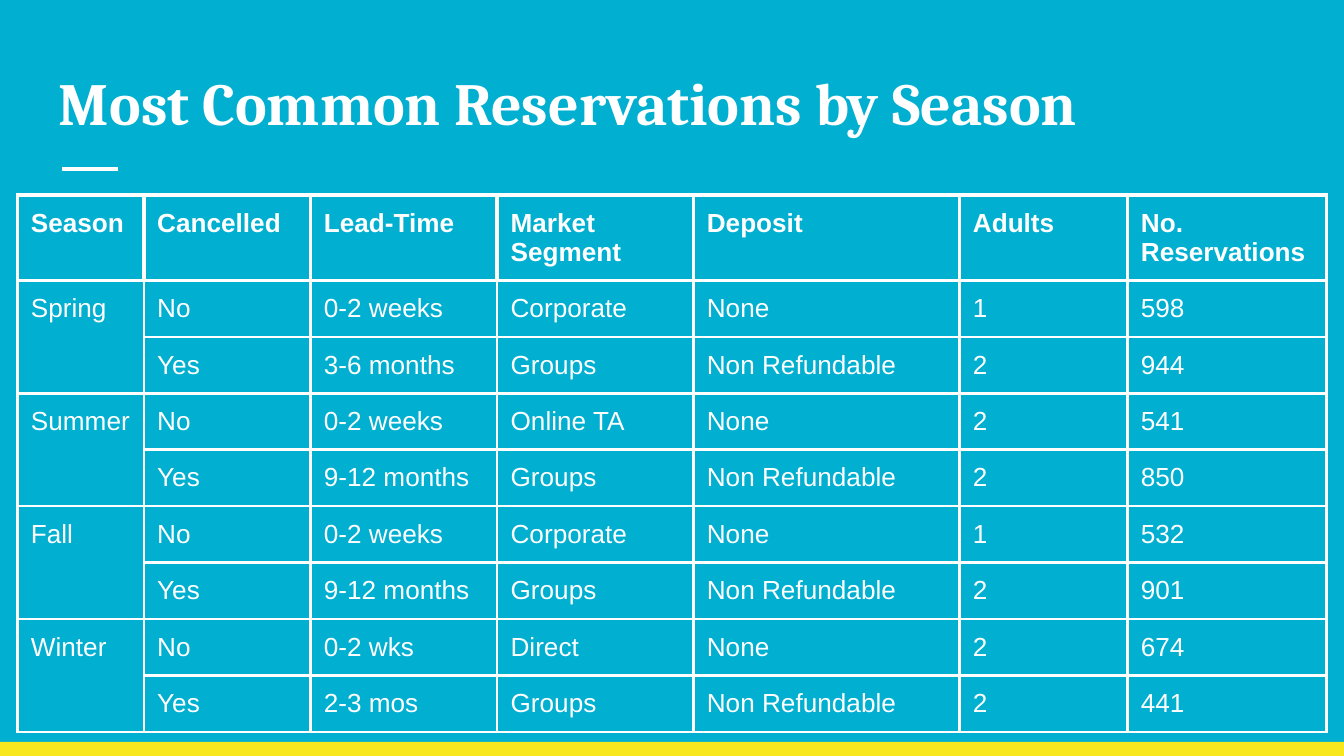
from lxml import etree
from pptx import Presentation
from pptx.dml.color import RGBColor
from pptx.enum.shapes import MSO_CONNECTOR, MSO_SHAPE
from pptx.enum.text import MSO_ANCHOR
from pptx.oxml.ns import qn
from pptx.util import Inches, Pt

STRAIGHT = MSO_CONNECTOR.STRAIGHT
RECTANGLE = MSO_SHAPE.RECTANGLE
BOTTOM = MSO_ANCHOR.BOTTOM

BLUE = RGBColor(0x01, 0xAF, 0xD1)
YELLOW = RGBColor(0xF8, 0xE7, 0x1C)
WHITE = RGBColor(0xFF, 0xFF, 0xFF)

TITLE = "Most Common Reservations by Season"
HEADERS = ["Season", "Cancelled", "Lead-Time", "Market Segment", "Deposit",
           "Adults", "No. Reservations"]
SEASONS = {
    "Spring": [("No", "0-2 weeks", "Corporate", "None", "1", "598"),
               ("Yes", "3-6 months", "Groups", "Non Refundable", "2", "944")],
    "Summer": [("No", "0-2 weeks", "Online TA", "None", "2", "541"),
               ("Yes", "9-12 months", "Groups", "Non Refundable", "2", "850")],
    "Fall": [("No", "0-2 weeks", "Corporate", "None", "1", "532"),
             ("Yes", "9-12 months", "Groups", "Non Refundable", "2", "901")],
    "Winter": [("No", "0-2 wks", "Direct", "None", "2", "674"),
               ("Yes", "2-3 mos", "Groups", "Non Refundable", "2", "441")],
}
COLUMN_WIDTHS = [0.94, 1.24, 1.39, 1.46, 1.98, 1.25, 1.48]
ROW_HEIGHT = 0.42
PADDING = Inches(0.1)
CELL_BOTTOM = Inches(0.07)
THIN, THICK = Pt(1.5), Pt(2.25)


def style_text(paragraph, name, size, bold):
    """Set the font and line spacing of a paragraph."""
    paragraph.line_spacing = 1.0
    font = paragraph.font
    font.name, font.size, font.bold = name, Pt(size), bold
    font.color.rgb = WHITE


def set_padding(target, bottom=PADDING):
    """Set the margins of a cell or text frame."""
    target.margin_left = target.margin_right = target.margin_top = PADDING
    target.margin_bottom = bottom


def set_borders(cell, row):
    """Draw white borders, thicker around the header row."""
    properties = cell._tc.get_or_add_tcPr()
    for position, side in enumerate("LRTB"):
        thick = row == 0 or (row == 1 and side == "T")
        line = etree.Element(qn(f"a:ln{side}"), w=str(THICK if thick else THIN))
        fill = etree.SubElement(line, qn("a:solidFill"))
        etree.SubElement(fill, qn("a:srgbClr"), val=str(WHITE))
        properties.insert(position, line)


def add_title(slide):
    """Add the slide title."""
    box = slide.shapes.add_textbox(Inches(0.34), Inches(0.41),
                                   Inches(9.32), Inches(0.71))
    frame = box.text_frame
    frame.word_wrap = True
    frame.vertical_anchor = BOTTOM
    set_padding(frame)
    frame.text = TITLE
    style_text(frame.paragraphs[0], "Cambria", 32, True)


def add_decoration(slide):
    """Add the bottom band and the short rule below the title."""
    band = slide.shapes.add_shape(RECTANGLE, 0, Inches(5.52), Inches(10), Inches(0.11))
    band.shadow.inherit = False
    band.fill.solid()
    band.fill.fore_color.rgb = YELLOW
    band.line.fill.background()
    rule = slide.shapes.add_connector(STRAIGHT, Inches(0.46), Inches(1.26),
                                      Inches(0.88), Inches(1.26))
    rule.line.color.rgb = WHITE
    rule.line.width = THICK
    etree.SubElement(rule._element.spPr, qn("a:effectLst"))


def add_season_table(slide):
    """Add the reservations table, with one merged cell per season."""
    rows = [HEADERS]
    for season, bookings in SEASONS.items():
        for index, booking in enumerate(bookings):
            rows.append(["" if index else season, *booking])
    table = slide.shapes.add_table(
        len(rows), len(HEADERS), Inches(0.13), Inches(1.45),
        Inches(sum(COLUMN_WIDTHS)), Inches(ROW_HEIGHT * len(rows))).table
    table.first_row = table.horz_banding = False
    for column, width in zip(table.columns, COLUMN_WIDTHS):
        column.width = Inches(width)
    for row, values in enumerate(rows):
        table.rows[row].height = Inches(ROW_HEIGHT)
        for column, value in enumerate(values):
            cell = table.cell(row, column)
            cell.text = value
            cell.fill.background()
            set_padding(cell, CELL_BOTTOM)
            set_borders(cell, row)
            style_text(cell.text_frame.paragraphs[0], "Arial", 14, row == 0)
    first = 1
    for bookings in SEASONS.values():
        last = first + len(bookings) - 1
        table.cell(first, 0).merge(table.cell(last, 0))
        first = last + 1


deck = Presentation()
deck.slide_width = Inches(10)
deck.slide_height = deck.slide_width * 9 // 16
page = deck.slides.add_slide(deck.slide_layouts[6])
page.background.fill.solid()
page.background.fill.fore_color.rgb = BLUE
add_decoration(page)
add_title(page)
add_season_table(page)
deck.save("out.pptx")
